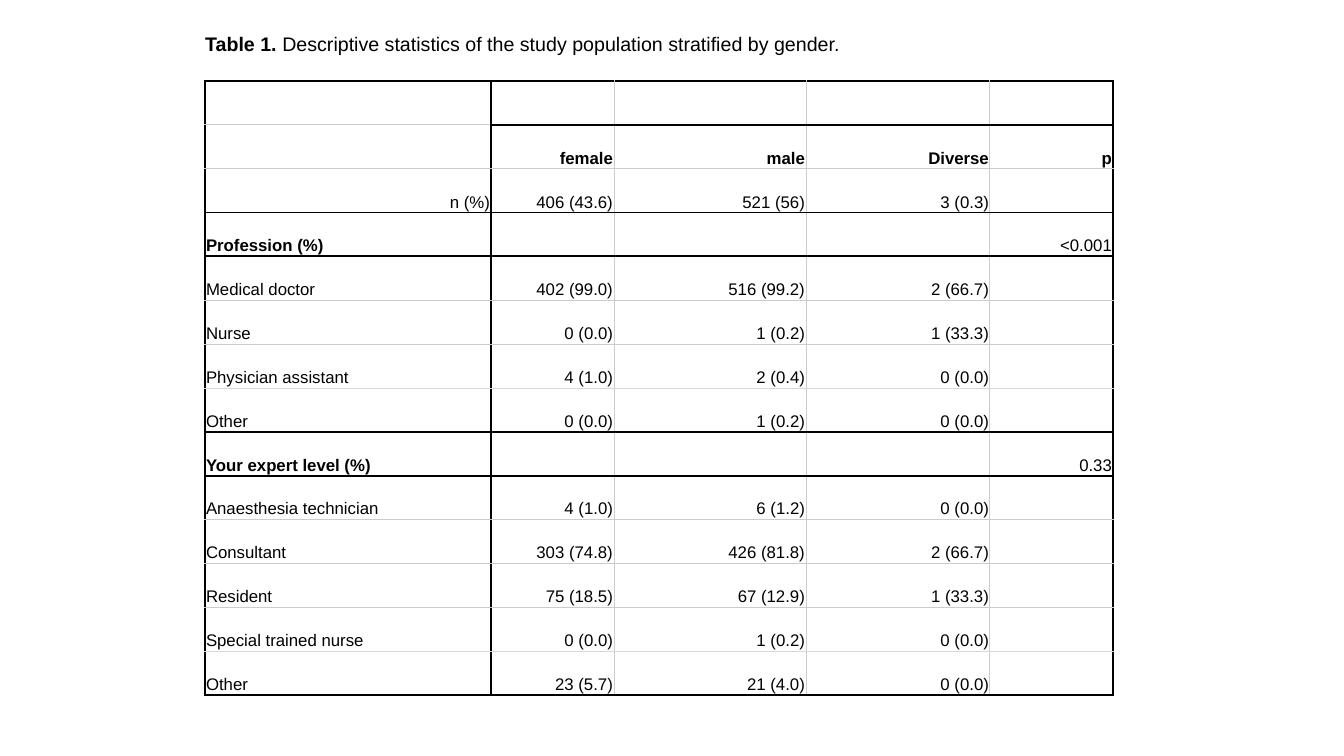
"""Build a slide with a captioned table of descriptive statistics by gender."""
from lxml.etree import SubElement
from pptx import Presentation
from pptx.dml.color import RGBColor
from pptx.enum.text import MSO_ANCHOR as Anchor, MSO_AUTO_SIZE as AutoSize, PP_ALIGN as Align
from pptx.oxml.ns import qn
from pptx.util import Emu, Pt

CAPTION = [
    ("Table 1. ", True),
    ("Descriptive statistics of the study population stratified by gender.", False),
]
ROWS = [
    ("", "", "", "", ""),
    ("", "female", "male", "Diverse", "p"),
    ("n (%)", "406 (43.6)", "521 (56)", "3 (0.3)", ""),
    ("Profession (%)", "", "", "", "<0.001"),
    ("Medical doctor", "402 (99.0)", "516 (99.2)", "2 (66.7)", ""),
    ("Nurse", "0 (0.0)", "1 (0.2)", "1 (33.3)", ""),
    ("Physician assistant", "4 (1.0)", "2 (0.4)", "0 (0.0)", ""),
    ("Other", "0 (0.0)", "1 (0.2)", "0 (0.0)", ""),
    ("Your expert level (%)", "", "", "", "0.33"),
    ("Anaesthesia technician", "4 (1.0)", "6 (1.2)", "0 (0.0)", ""),
    ("Consultant", "303 (74.8)", "426 (81.8)", "2 (66.7)", ""),
    ("Resident", "75 (18.5)", "67 (12.9)", "1 (33.3)", ""),
    ("Special trained nurse", "0 (0.0)", "1 (0.2)", "0 (0.0)", ""),
    ("Other", "23 (5.7)", "21 (4.0)", "0 (0.0)", ""),
]
BOLD_CELLS = {(1, column) for column in range(5)} | {(3, 0), (8, 0)}
COLUMN_WIDTHS = [286, 123, 192, 184, 123]
TABLE_LEFT, TABLE_TOP, TABLE_HEIGHT = 205, 81, 614
CAPTION_BOX = {"left": 195, "top": 27, "width": 658, "height": 34}
BLACK_ROW_LINES, PALE_ROW_LINES = {0, 3, 4, 8, 9, 14}, {7, 13}
BLACK_COLUMN_LINES = {0, 1, 5}
HEAVY, LIGHT, PALE = ("000000", 1.5), ("CCCCCC", 0.75), ("D9D9D9", 0.75)
WHITE = "FFFFFF"


def px(length):
    """Turn slide pixels into EMU."""
    return Emu(round(length * 914400 / 100.8))


def color(value):
    """Turn a hex string into a colour."""
    return RGBColor.from_string(value)


def apply(target, values):
    """Set each named attribute on the target."""
    for name, value in values.items():
        setattr(target, name, value)


def write(para, text, size, bold):
    """Add one formatted span to a paragraph."""
    span = para.add_run()
    span.text = text
    apply(span.font, {"name": "Arial", "size": Pt(size), "bold": bold})
    span.font.color.rgb = color("000000")


def row_line(line, column):
    """Choose the style of a horizontal grid line at a column."""
    if line in BLACK_ROW_LINES or (line == 1 and column > 0):
        return HEAVY
    return PALE if line in PALE_ROW_LINES else LIGHT


def column_line(line):
    """Choose the style of a vertical grid line."""
    return HEAVY if line in BLACK_COLUMN_LINES else LIGHT


def add_borders(cell, row, column):
    """Draw the four borders of a cell."""
    sides = {
        "a:lnL": column_line(column),
        "a:lnR": column_line(column + 1),
        "a:lnT": row_line(row, column),
        "a:lnB": row_line(row + 1, column),
    }
    properties = cell._tc.get_or_add_tcPr()
    for tag, (shade, width) in sides.items():
        border = SubElement(properties, qn(tag), w=str(Pt(width)))
        fill = SubElement(border, qn("a:solidFill"))
        SubElement(fill, qn("a:srgbClr"), val=shade)


def add_caption(page):
    """Write the caption in the title placeholder."""
    title = page.shapes.title
    apply(title, {name: px(length) for name, length in CAPTION_BOX.items()})
    frame = title.text_frame
    apply(frame, {"word_wrap": False, "auto_size": AutoSize.NONE,
                  "vertical_anchor": Anchor.MIDDLE})
    para = frame.paragraphs[0]
    para.alignment = Align.LEFT
    for text, bold in CAPTION:
        write(para, text, 14, bold)


def add_statistics(page):
    """Add the statistics table with its grid lines."""
    table = page.shapes.add_table(
        len(ROWS), len(COLUMN_WIDTHS), px(TABLE_LEFT), px(TABLE_TOP),
        px(sum(COLUMN_WIDTHS)), px(TABLE_HEIGHT)).table
    apply(table, {"first_row": False, "horz_banding": False})
    for column, width in zip(table.columns, COLUMN_WIDTHS):
        column.width = px(width)
    for row, values in enumerate(ROWS):
        table.rows[row].height = px(TABLE_HEIGHT / len(ROWS))
        for column, text in enumerate(values):
            cell = table.cell(row, column)
            margins = {f"margin_{side}": px(1) for side in ("left", "top", "right", "bottom")}
            apply(cell, {"vertical_anchor": Anchor.BOTTOM, **margins})
            add_borders(cell, row, column)
            cell.fill.solid()
            cell.fill.fore_color.rgb = color(WHITE)
            para = cell.text_frame.paragraphs[0]
            para.alignment = Align.RIGHT if column or row == 2 else Align.LEFT
            if text:
                write(para, text, 12, (row, column) in BOLD_CELLS)


def main():
    """Build and save the deck."""
    deck = Presentation()
    apply(deck, {"slide_width": px(1344), "slide_height": px(756)})
    page = deck.slides.add_slide(deck.slide_layouts[5])
    add_statistics(page)
    add_caption(page)
    deck.save("out.pptx")


if __name__ == "__main__":
    main()
